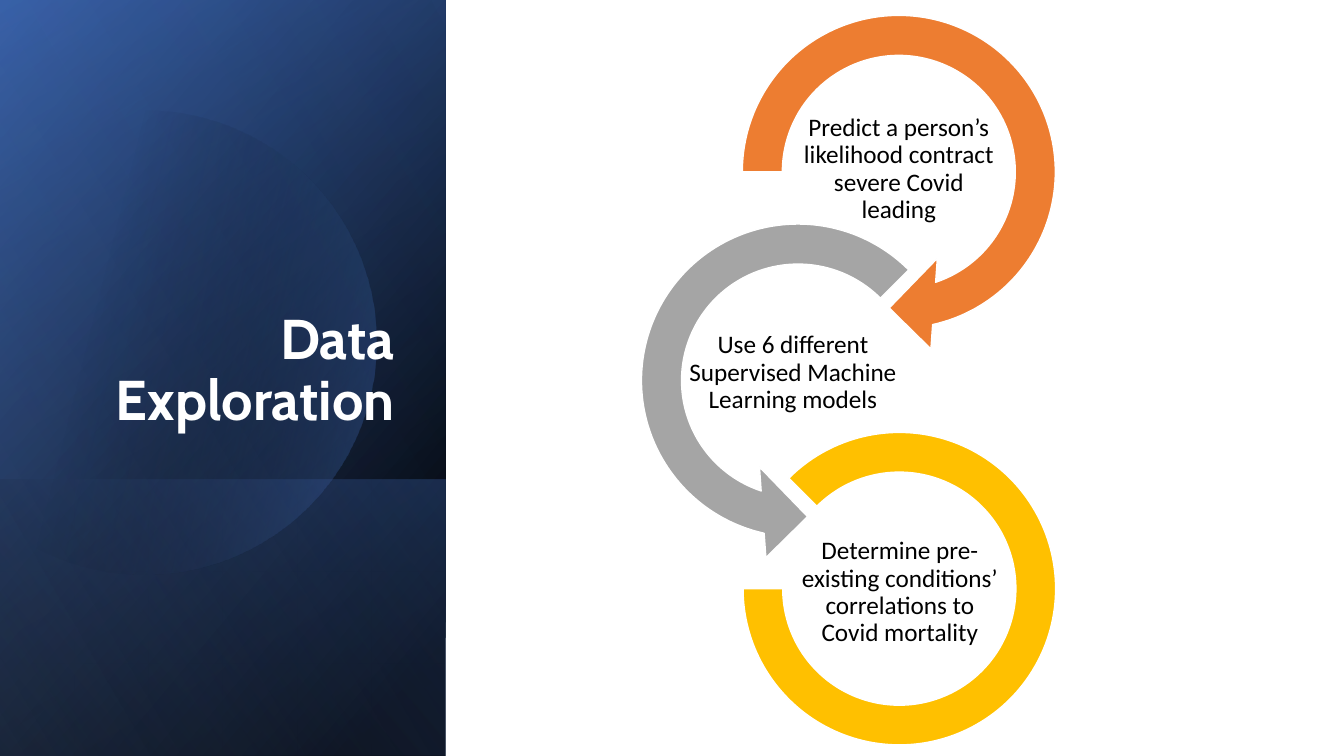
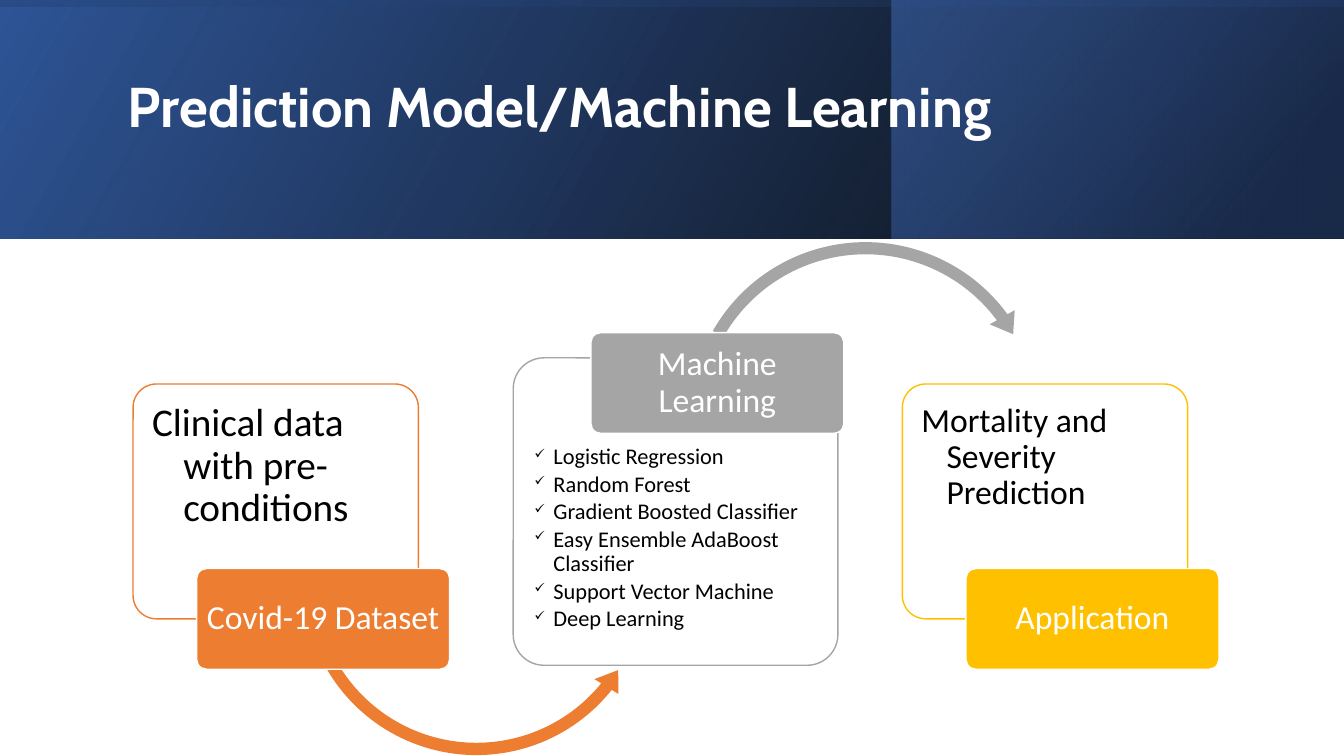
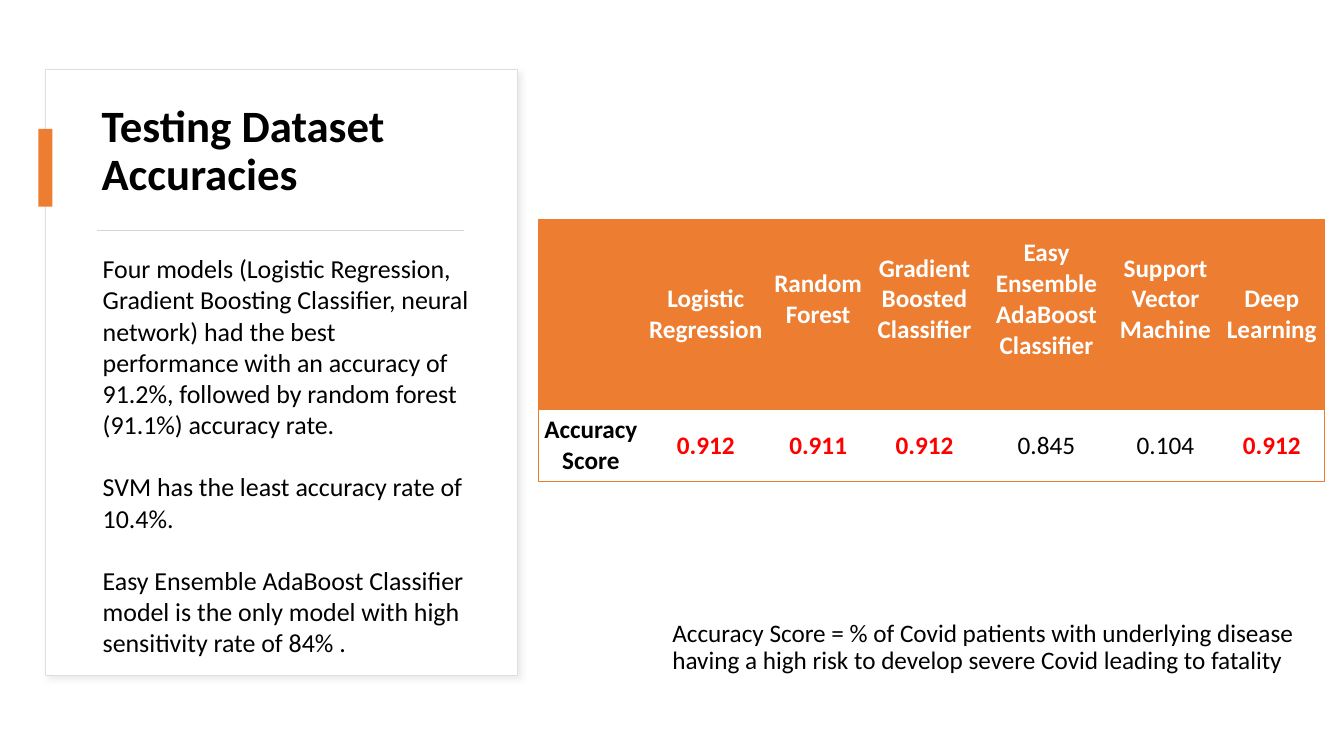
from math import cos, radians, sin

from lxml.etree import SubElement
from pptx import Presentation
from pptx.dml.color import RGBColor
from pptx.enum.shapes import MSO_CONNECTOR, MSO_SHAPE
from pptx.enum.text import MSO_ANCHOR, PP_ALIGN
from pptx.oxml.ns import qn
from pptx.util import Pt

SCALE = 9144
HEADING, BODY = "Cabin", "Calibri"
WHITE, BLACK, RED = "FFFFFF", "000000", "FF0000"
ORANGE, GRAY, GOLD = "ED7D31", "A5A5A5", "FFC000"
NAVY, BLUE, PALE, MIDNIGHT = "2F5597", "4472C4", "8FAADC", "203864"
TITLE = dict(size=40, font=HEADING, color=WHITE, bold=True)


def px(*lengths):
    """Turn px lengths into EMU."""
    return [round(length * SCALE) for length in lengths]


def rgb(color):
    """Turn a hex string into a colour."""
    return RGBColor.from_string(color)


def paint(shape, fill=None, line=None, weight=1):
    """Set a flat fill and outline and drop the shadow."""
    shape.shadow.inherit = False
    if fill:
        shape.fill.solid()
        shape.fill.fore_color.rgb = rgb(fill)
    if line:
        shape.line.color.rgb = rgb(line)
        shape.line.width = Pt(weight)
    else:
        shape.line.fill.background()
    return shape


def add_preset(slide, preset, box, fill=None, line=None, weight=1):
    """Add a painted preset shape."""
    return paint(slide.shapes.add_shape(preset, *px(*box)), fill, line, weight)


def blend(shape, stops, angle):
    """Fill with two stops of position, colour and opacity, at a clockwise angle."""
    shape.fill.gradient()
    shape.fill.gradient_angle = (360 - angle) % 360
    for stop, (position, color, _) in zip(shape.fill.gradient_stops, stops):
        stop.position = position / 100
        stop.color.rgb = rgb(color)
    colors = shape._element.spPr.find(qn("a:gradFill")).iter(qn("a:srgbClr"))
    for node, (_, _, opacity) in zip(list(colors), stops):
        SubElement(node, qn("a:alpha"), val=str(opacity * 1000))


def add_sheen(slide, box, stops, angle, turn=0):
    """Add a mirrored gradient layer that covers the box after its turn."""
    left, top, width, height = box
    if turn:
        shift = (width - height) / 2
        box = left + shift, top - shift, height, width
    layer = add_preset(slide, MSO_SHAPE.RECTANGLE, box)
    layer.rotation = turn
    layer._element.spPr.xfrm.set("flipH", "1")
    blend(layer, stops, angle)


def write(frame, texts, size, color=BLACK, font=BODY, bold=False, align=PP_ALIGN.LEFT,
          anchor=MSO_ANCHOR.TOP, insets=(10, 5, 10, 5), spacing=0.9, after=0,
          hanging=0, bullet=None):
    """Write paragraphs of one style into a text frame."""
    frame.word_wrap = True
    frame.vertical_anchor = anchor
    (frame.margin_left, frame.margin_top,
     frame.margin_right, frame.margin_bottom) = px(*insets)
    for index, text in enumerate(texts):
        paragraph = frame.paragraphs[0] if index == 0 else frame.add_paragraph()
        paragraph.text = text
        properties = paragraph._p.get_or_add_pPr()
        if hanging:
            indent, = px(hanging)
            properties.set("marL", str(indent))
            properties.set("indent", str(-indent))
        if bullet:
            SubElement(properties, qn("a:buSzPct"), val="60000")
            SubElement(properties, qn("a:buChar"), char=bullet)
        paragraph.alignment = align
        paragraph.line_spacing = spacing
        paragraph.space_after = Pt(after)
        style(paragraph.font, size, color, font, bold)


def style(face, size, color, font=BODY, bold=False):
    """Set the font of a paragraph."""
    face.size, face.name, face.bold = Pt(size), font, bold
    face.color.rgb = rgb(color)


def add_text(slide, box, texts, size, **look):
    """Add a text box."""
    write(slide.shapes.add_textbox(*px(*box)).text_frame, texts, size, **look)


def add_arc(slide, preset, box, fill, percents, degrees, line=None):
    """Add an arc or curved arrow from its thicknesses and angles."""
    arc = add_preset(slide, preset, box, fill, line)
    values = [angle * 0.6 for angle in degrees]
    if preset != MSO_SHAPE.BLOCK_ARC:
        values.insert(0, percents[0] / 100)
    values.append(percents[-1] / 100)
    for index, value in enumerate(values):
        arc.adjustments[index] = value


def side_panel(slide, box, title):
    """Draw the layered blue side panel with its title."""
    left, top, width, height = box
    add_sheen(slide, box, [(8, BLACK, 100), (100, NAVY, 100)], 50, 90)
    add_sheen(slide, box, [(0, BLACK, 0), (99, BLUE, 46)], 30, 90)
    add_sheen(slide, (left, top + 476, width, height - 476),
              [(2, BLUE, 29), (100, BLACK, 30)], 130, 90)
    rim = [px(left + 143 + 230 * cos(radians(a)), top + 340 + 230 * sin(radians(a)))
           for a in range(-128, 129, 4)]
    outline = slide.shapes.build_freeform(*rim[0], scale=1.0)
    outline.add_line_segments(rim[1:], close=True)
    blend(paint(outline.convert_to_shape()), [(29, BLACK, 0), (100, BLUE, 43)], 14)
    add_sheen(slide, box, [(0, BLACK, 0), (99, PALE, 11)], 120, 90)
    add_text(slide, (left + 51, top + 64, 350, 370), [title], **TITLE,
             align=PP_ALIGN.RIGHT, anchor=MSO_ANCHOR.BOTTOM)


def goal_chain(slide, left, top):
    """Draw the three linked goal rings."""
    rings = [
        (MSO_SHAPE.CIRCULAR_ARROW, (100, 0, 361, 361), ORANGE, (11, 12.5),
         (19.04, 75, 180), (180, 128, 201, 100),
         "Predict a person’s likelihood contract severe Covid leading"),
        (MSO_SHAPE.LEFT_CIRCULAR_ARROW, (0, 207, 361, 361), GRAY, (11, 12.5),
         (19.04, 105, 315), (57, 317, 237, 126),
         "Use 6 different Supervised Machine Learning models"),
        (MSO_SHAPE.BLOCK_ARC, (126, 439, 310, 310), GOLD, (12.7,),
         (225, 180), (181, 548, 201, 100),
         "Determine pre-existing conditions’ correlations to Covid mortality"),
    ]
    for preset, (x, y, w, h), color, percents, degrees, (tx, ty, tw, th), goal in rings:
        add_arc(slide, preset, (left + x, top + y, w, h), color, percents, degrees, WHITE)
        add_text(slide, (left + tx, top + ty, tw, th), [goal], 18, align=PP_ALIGN.CENTER,
                 anchor=MSO_ANCHOR.MIDDLE, insets=(1, 1, 1, 1))


def top_band(slide, box, title):
    """Draw the layered blue title band."""
    left, top, width, height = box
    add_sheen(slide, box, [(0, BLACK, 96), (100, NAVY, 100)], 330)
    add_sheen(slide, (left + 884, top, width - 884, height),
              [(19, MIDNIGHT, 68), (100, BLUE, 48)], 320)
    add_sheen(slide, box, [(23, NAVY, 16), (99, BLACK, 45)], 350, 270)
    add_text(slide, (left + 117, top + 22, 1063, 172), [title], **TITLE,
             anchor=MSO_ANCHOR.MIDDLE)


def step_card(slide, box, color, texts, size, label, label_at, head=12, **look):
    """Draw an outlined card, and its label placed relative to the card."""
    card = add_preset(slide, MSO_SHAPE.ROUNDED_RECTANGLE, box, WHITE, color)
    card.adjustments[0] = 0.1
    write(card.text_frame, texts, size, insets=(12, head, 12, 12), **look)
    tag = add_preset(slide, MSO_SHAPE.ROUNDED_RECTANGLE,
                     (box[0] + label_at[0], box[1] + label_at[1], 251, 100), color, WHITE)
    tag.adjustments[0] = 0.1
    write(tag.text_frame, [label], 24, color=WHITE, align=PP_ALIGN.CENTER,
          anchor=MSO_ANCHOR.MIDDLE, insets=(4, 3, 4, 3))


def process_flow(slide, left, top):
    """Draw the three steps and the arrows between them."""
    models = ["Logistic Regression", "Random Forest", "Gradient Boosted Classifier",
              "Easy Ensemble AdaBoost Classifier", "Support Vector Machine",
              "Deep Learning"]
    add_arc(slide, MSO_SHAPE.LEFT_CIRCULAR_ARROW, (left + 161, top + 166, 359, 359),
            ORANGE, (3.4, 3.9), (6.94, 38.77, 152.65))
    step_card(slide, (left, top + 149, 283, 233), ORANGE,
              ["Clinical data with pre-conditions"], 28, "Covid-19 Dataset",
              (63, 183), hanging=31)
    add_arc(slide, MSO_SHAPE.CIRCULAR_ARROW, (left + 544, top, 365, 365),
            GRAY, (3.3, 3.9), (6.81, 323.65, 209.64))
    step_card(slide, (left + 377, top + 123, 322, 305), GRAY, models, 16,
              "Machine Learning", (77, -25), head=78, hanging=19, bullet="✓", after=2.4)
    step_card(slide, (left + 763, top + 149, 283, 233), GOLD,
              ["Mortality and Severity Prediction"], 24, "Application",
              (63, 183), hanging=25)


def findings_card(slide, box, title, findings):
    """Draw the shadowed card with a title, a rule and the findings."""
    left, top, width, height = box
    card = add_preset(slide, MSO_SHAPE.RECTANGLE, box, WHITE, "DEDEDE", 0.75)
    effects = card._element.spPr.find(qn("a:effectLst"))
    shadow = SubElement(effects, qn("a:outerShdw"), blurRad=str(Pt(4)),
                        dist=str(Pt(3)), dir="2700000", algn="tl", rotWithShape="0")
    tint = SubElement(shadow, qn("a:srgbClr"), val="D9D9D9")
    SubElement(tint, qn("a:alpha"), val="50000")
    add_text(slide, (left + 46, top + 21, 373, 121), [title], 32, bold=True,
             anchor=MSO_ANCHOR.MIDDLE)
    add_preset(slide, MSO_SHAPE.RECTANGLE, (left - 7, top + 59, 14, 77), ORANGE)
    rule = slide.shapes.add_connector(
        MSO_CONNECTOR.STRAIGHT, *px(left + 51, top + 160, left + 415, top + 160))
    rule.line.color.rgb = rgb("D5D5D5")
    rule.line.width = Pt(0.75)
    SubElement(rule._element.spPr, qn("a:effectLst"))
    add_text(slide, (left + 47, top + 177, 391, 406), findings, 18.5,
             spacing=1.0, after=22.5)


def edge_cell(cell, sides):
    """Draw thin orange borders on the named sides and none on the others."""
    properties = cell._tc.get_or_add_tcPr()
    for index, side in enumerate("LRTB"):
        border = properties.makeelement(qn(f"a:ln{side}"), w=str(Pt(0.5)))
        if side in sides:
            fill = SubElement(border, qn("a:solidFill"))
            SubElement(fill, qn("a:srgbClr"), val=ORANGE)
        else:
            SubElement(border, qn("a:noFill"))
        properties.insert(index, border)


def accuracy_table(slide, left, top):
    """Draw the table of accuracy scores by model."""
    columns = [
        (104, "", "Accuracy Score", BLACK, True, 2),
        (124, "Logistic Regression", "0.912", RED, True, 2),
        (99, "Random Forest", "0.911", RED, True, 32),
        (112, "Gradient Boosted Classifier", "0.912", RED, True, 32),
        (130, "Easy Ensemble AdaBoost Classifier", "0.845", BLACK, False, 32),
        (106, "Support Vector Machine", "0.104", BLACK, False, 32),
        (105, "Deep Learning", "0.912", RED, True, 2),
    ]
    heights = 188, 72
    total = sum(column[0] for column in columns)
    table = slide.shapes.add_table(
        2, len(columns), *px(left, top, total, sum(heights))).table
    table.first_row = table.horz_banding = False
    for row, height in zip(table.rows, px(*heights)):
        row.height = height
    for index, (width, model, score, color, bold, foot) in enumerate(columns):
        table.columns[index].width, = px(width)
        outer = {0: "L", len(columns) - 1: "R"}.get(index, "")
        cells = [(model, WHITE, True, ORANGE, foot, "T"),
                 (score, color, bold, WHITE, 2, "TB")]
        for row, (text, ink, heavy, fill, bottom, sides) in enumerate(cells):
            cell = table.cell(row, index)
            cell.fill.solid()
            cell.fill.fore_color.rgb = rgb(fill)
            cell.vertical_anchor = MSO_ANCHOR.MIDDLE
            (cell.margin_left, cell.margin_top,
             cell.margin_right, cell.margin_bottom) = px(5, 2, 5, bottom)
            edge_cell(cell, sides + outer)
            paragraph = cell.text_frame.paragraphs[0]
            paragraph.text = text
            paragraph.alignment = PP_ALIGN.CENTER
            style(paragraph.font, 18, ink, bold=heavy)


def main():
    """Build the three slides."""
    deck = Presentation()
    deck.slide_width, deck.slide_height = px(1333, 750)
    exploration, prediction, testing = [
        deck.slides.add_slide(deck.slide_layouts[6]) for _ in range(3)]

    side_panel(exploration, (0, 0, 442, 750), "Data Exploration")
    goal_chain(exploration, 611, -10)

    top_band(prediction, (0, 0, 1333, 237), "Prediction Model/Machine Learning")
    process_flow(prediction, 132, 232)

    findings_card(testing, (45, 69, 468, 601), "Testing Dataset Accuracies", [
        "Four models (Logistic Regression, Gradient Boosting Classifier, neural network) "
        "had the best performance with an accuracy of 91.2%, followed by random forest "
        "(91.1%) accuracy rate.",
        "SVM has the least accuracy rate of 10.4%.",
        "Easy Ensemble AdaBoost Classifier model is the only model with high "
        "sensitivity rate of 84% ."])
    accuracy_table(testing, 534, 218)
    add_text(testing, (657, 611, 667, 65), [
        "Accuracy Score = % of Covid patients with underlying disease having a high risk "
        "to develop severe Covid leading to fatality"], 18)
    deck.save("out.pptx")


if __name__ == "__main__":
    main()
